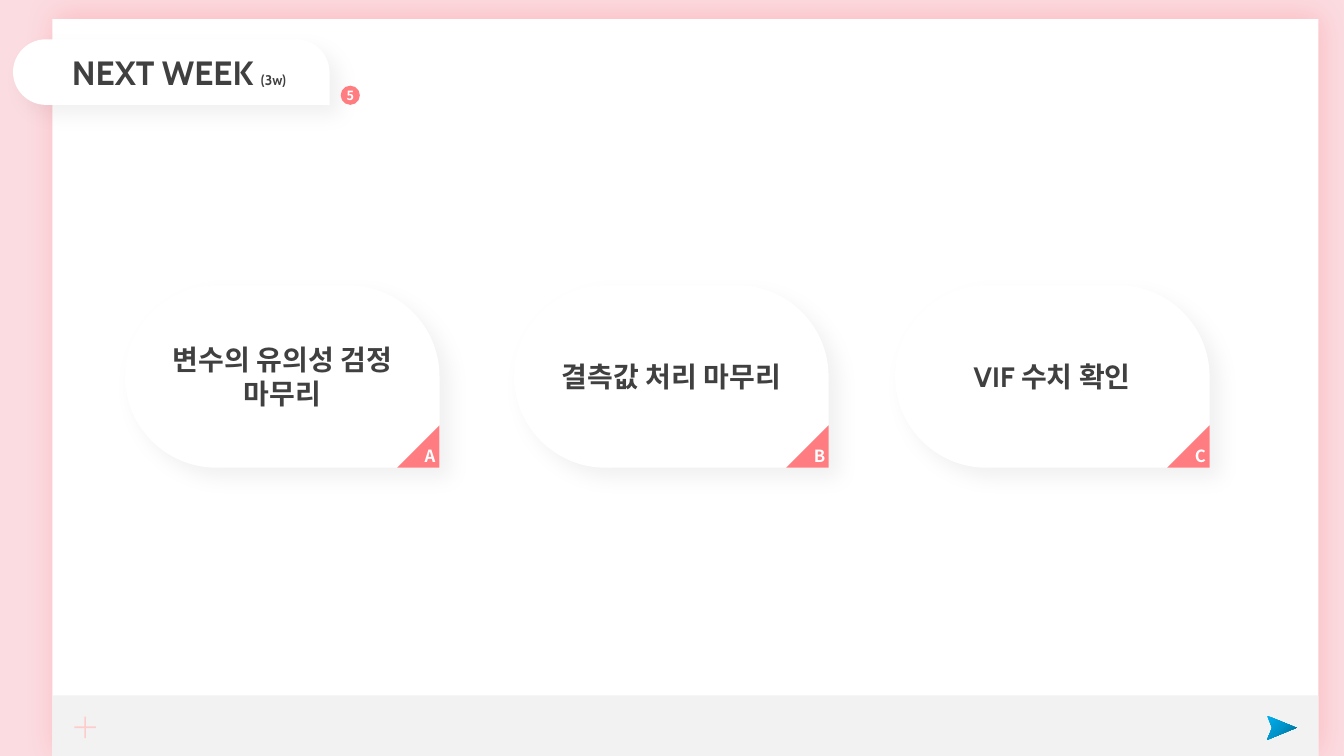
from lxml.etree import SubElement
from pptx import Presentation
from pptx.dml.color import RGBColor
from pptx.enum.shapes import MSO_SHAPE
from pptx.enum.text import MSO_ANCHOR, PP_ALIGN
from pptx.oxml.ns import qn
from pptx.util import Inches, Pt

PINK, CORAL, WHITE = "FBDCE1", "FF7C80", "FFFFFF"
GREY, PLUS_PINK, DARK = "F2F2F2", "FFCCCC", "404040"
LATIN, KOREAN = "Cabin", "Noto Sans CJK KR"
CARD_WIDTH, CARD_HEIGHT, CARD_TOP, FLAG = 3.12, 1.81, 2.83, 0.42
CURVE = 0.55  # handle length of a quarter circle, as a share of its radius
CARDS = [
    (1.24, "변수의 유의성 검정 마무리", "A"),
    (5.1, "결측값 처리 마무리", "B"),
    (8.88, "VIF 수치 확인", "C"),
]


def color(value):
    return RGBColor.from_string(value)


def paint(shape, fill):
    shape.shadow.inherit = False
    shape.fill.solid()
    shape.fill.fore_color.rgb = color(fill)
    shape.line.fill.background()
    return shape


def add_color(parent, value, alpha=100):
    element = SubElement(parent, qn("a:srgbClr"), val=value)
    if alpha < 100:
        SubElement(element, qn("a:alpha"), val=str(alpha * 1000))


def add_shadow(shape, value, alpha, blur, distance, angle):
    effects = shape._element.spPr.find(qn("a:effectLst"))
    shadow = SubElement(effects, qn("a:outerShdw"), blurRad=str(Pt(blur)),
                        dist=str(Pt(distance)), dir=str(angle * 60000),
                        algn="ctr", rotWithShape="0")
    add_color(shadow, value, alpha)


def add_preset(slide, kind, left, top, width, height, fill):
    shape = slide.shapes.add_shape(kind, Inches(left), Inches(top),
                                   Inches(width), Inches(height))
    return paint(shape, fill)


def add_corner(slide, right, bottom, size, fill):
    """Right triangle that fills a bottom right corner."""
    corner = add_preset(slide, MSO_SHAPE.RIGHT_TRIANGLE, right - size,
                        bottom - size, size, size, fill)
    corner._element.spPr.find(qn("a:xfrm")).set("flipH", "1")
    return corner


def add_outline(slide, points, fill):
    points = [(Inches(x), Inches(y)) for x, y in points]
    builder = slide.shapes.build_freeform(*points[0])
    builder.add_line_segments(points[1:], close=True)
    return paint(builder.convert_to_shape(), fill)


def round_off(line, start, corner):
    """Turn a straight segment into a quarter curve around a corner."""
    end = line.find(qn("a:pt"))
    curve = line.makeelement(qn("a:cubicBezTo"))
    for x, y in (start, (int(end.get("x")), int(end.get("y")))):
        SubElement(curve, qn("a:pt"), x=str(round(x + CURVE * (corner[0] - x))),
                   y=str(round(y + CURVE * (corner[1] - y))))
    curve.append(end)
    line.getparent().replace(line, curve)


def write(shape, runs, font, value, margins=(0.1, 0.05, 0.1, 0.05), wrap=True):
    frame = shape.text_frame
    frame.word_wrap = wrap
    frame.vertical_anchor = MSO_ANCHOR.MIDDLE
    (frame.margin_left, frame.margin_top,
     frame.margin_right, frame.margin_bottom) = map(Inches, margins)
    paragraph = frame.paragraphs[0]
    paragraph.alignment = PP_ALIGN.CENTER
    for text, size in runs:
        run = paragraph.add_run()
        run.text = text
        run.font.name = font
        run.font.size = Pt(size)
        run.font.bold = True
        run.font.color.rgb = color(value)
        SubElement(run.font._element, qn("a:ea"), typeface=font)


def add_bubble(slide, left, top, width, height, right_radius):
    """White bubble: round left end, round top right, square bottom right."""
    radius = height / 2
    right, bottom = left + width, top + height
    bubble = add_outline(slide, [
        (left + radius, top), (right - right_radius, top),
        (right, top + right_radius), (right, bottom),
        (left + radius, bottom), (left, top + radius), (left + radius, top),
    ], WHITE)
    lines = list(bubble._element.spPr.iter(qn("a:lnTo")))
    wide, high = Inches(width), Inches(height)
    round_off(lines[1], (wide - Inches(right_radius), 0), (wide, 0))
    round_off(lines[4], (Inches(radius), high), (0, high))
    round_off(lines[5], (0, Inches(radius)), (0, 0))
    add_shadow(bubble, "000000", 5, 15, 10, 45)
    return bubble


def add_card(slide, left, text, letter):
    card = add_bubble(slide, left, CARD_TOP, CARD_WIDTH, CARD_HEIGHT, CARD_HEIGHT / 2)
    write(card, [(text, 20)], LATIN, DARK)
    flag = add_corner(slide, left + CARD_WIDTH, CARD_TOP + CARD_HEIGHT, FLAG, CORAL)
    write(flag, [(letter, 12)], KOREAN, WHITE, (0.1, 0.05, 0.1, 0.08))


def add_send_arrow(slide):
    arrow = add_outline(slide, [(12.57, 7.1), (12.86, 7.22), (12.57, 7.34),
                                (12.62, 7.22)], "0094CA")
    solid = arrow._element.spPr.find(qn("a:solidFill"))
    gradient = solid.makeelement(qn("a:gradFill"), rotWithShape="1")
    stops = SubElement(gradient, qn("a:gsLst"))
    for position, value in [(0, "00688E"), (50, "0094CA"), (100, "00B0F0")]:
        add_color(SubElement(stops, qn("a:gs"), pos=str(position * 1000)), value)
    circle = SubElement(gradient, qn("a:path"))
    circle.set("path", "circle")
    SubElement(circle, qn("a:fillToRect"), l="100000", t="100000")
    solid.getparent().replace(solid, gradient)


def main():
    presentation = Presentation()
    presentation.slide_width = Inches(40 / 3)
    presentation.slide_height = Inches(7.5)
    slide = presentation.slides.add_slide(presentation.slide_layouts[6])
    slide.background.fill.solid()
    slide.background.fill.fore_color.rgb = color(PINK)

    # Page, title corner and bottom bar
    page = add_preset(slide, MSO_SHAPE.RECTANGLE, 0.52, 0.19, 12.56, 7.31, WHITE)
    add_shadow(page, CORAL, 33, 21, 3, 315)
    add_corner(slide, 3.25, 1.04, 0.33, WHITE)
    add_preset(slide, MSO_SHAPE.RECTANGLE, 0.52, 6.9, 12.56, 0.6, GREY)
    add_send_arrow(slide)
    plus = add_preset(slide, MSO_SHAPE.MATH_PLUS, 0.7, 7.07, 0.29, 0.29, PLUS_PINK)
    plus.adjustments[0] = 0.055

    # Cards
    for left, text, letter in CARDS:
        add_card(slide, left, text, letter)

    # Title and its badge
    title = add_bubble(slide, 0.13, 0.39, 3.14, 0.65, 0.33)
    write(title, [("NEXT WEEK ", 24), ("(3w)", 10)], LATIN, DARK,
          (0.25, 0.05, 0.1, 0.05))
    badge = add_preset(slide, MSO_SHAPE.OVAL, 3.38, 0.85, 0.19, 0.19, CORAL)
    write(badge, [("5", 9)], KOREAN, WHITE, (0.04,) * 4, wrap=False)

    presentation.save("out.pptx")


if __name__ == "__main__":
    main()
